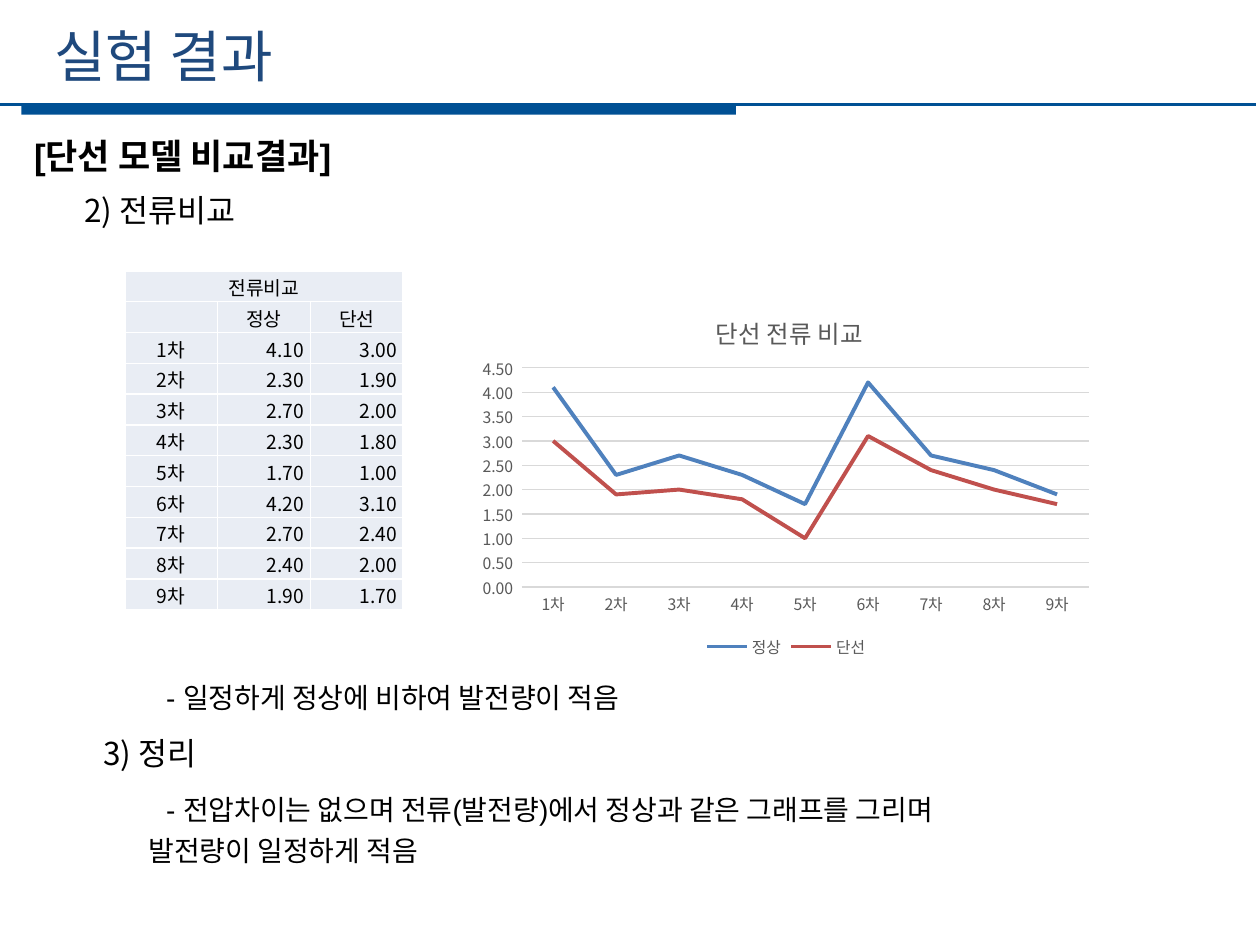
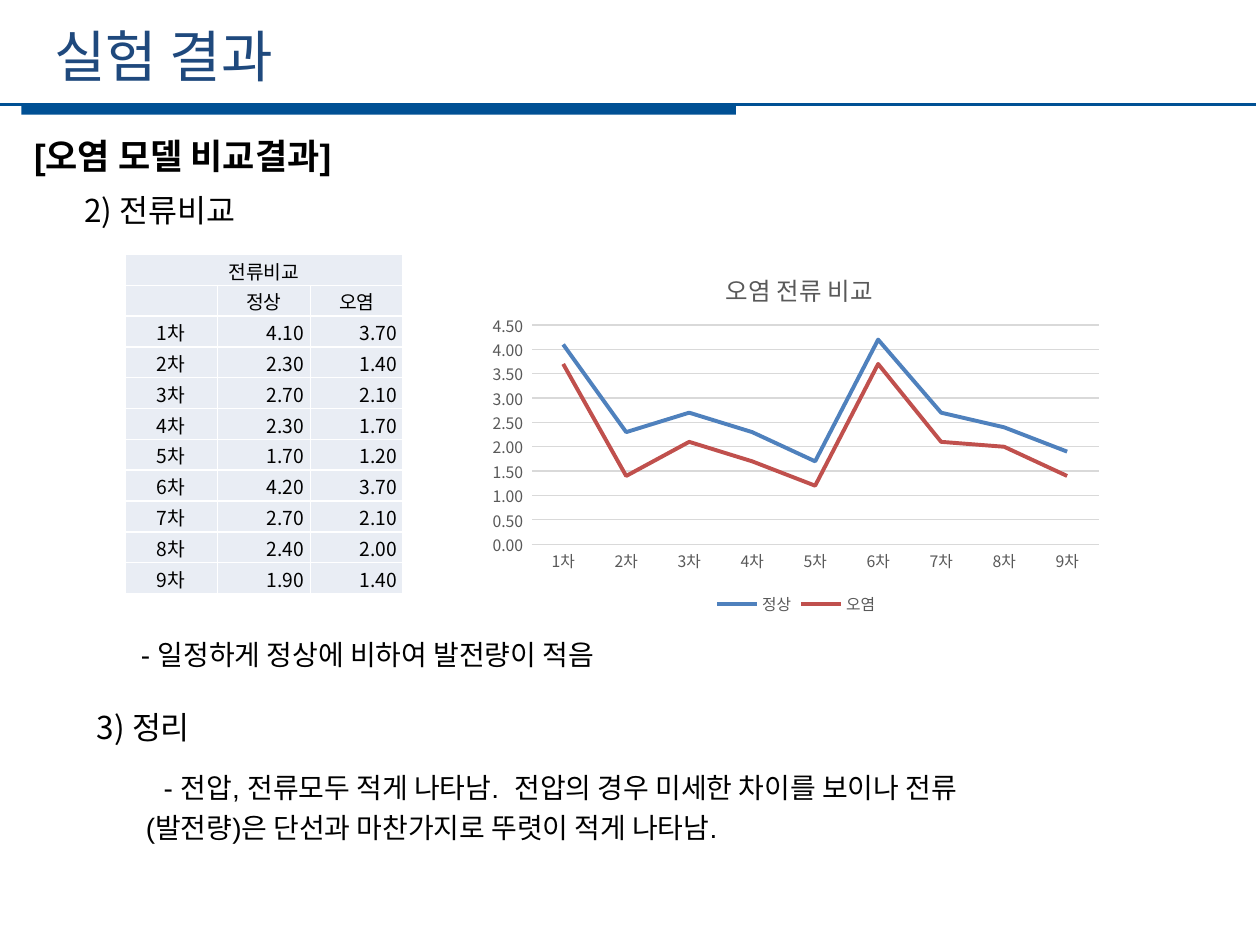
from lxml import etree
from pptx import Presentation
from pptx.chart.data import CategoryChartData
from pptx.dml.color import RGBColor
from pptx.enum.chart import XL_CHART_TYPE, XL_LEGEND_POSITION, XL_TICK_MARK
from pptx.enum.shapes import MSO_CONNECTOR, MSO_SHAPE
from pptx.enum.text import MSO_ANCHOR, MSO_AUTO_SIZE, PP_ALIGN
from pptx.oxml import parse_xml
from pptx.oxml.ns import nsdecls, qn
from pptx.util import Inches, Pt

# Content
TITLE = "실험 결과"
CURRENT_HEADING = "2) 전류비교"
SUMMARY_HEADING = "3) 정리"
TABLE_HEADING = "전류비교"
FINDING = "- 일정하게 정상에 비하여 발전량이 적음"
TRIALS = [f"{n}차" for n in range(1, 10)]
NORMAL = ("정상", [4.1, 2.3, 2.7, 2.3, 1.7, 4.2, 2.7, 2.4, 1.9])

# Positions are (left, top) in inches
COMPARISONS = [
    {
        "heading": "[단선 모델 비교결과]",
        "fault": ("단선", [3.0, 1.9, 2.0, 1.8, 1.0, 3.1, 2.4, 2.0, 1.7]),
        "summary": "- 전압차이는 없으며 전류(발전량)에서 정상과 같은 그래프를 그리며 "
                   "발전량이 일정하게 적음",
        "table_at": (0.99, 2.15), "chart_at": (3.74, 2.26),
        "finding_at": (1.08, 5.3), "summary_heading_at": (0.72, 5.78),
        "summary_at": (1.08, 6.19),
    },
    {
        "heading": "[오염 모델 비교결과]",
        "fault": ("오염", [3.7, 1.4, 2.1, 1.7, 1.2, 3.7, 2.1, 2.0, 1.4]),
        "summary": "- 전압, 전류모두 적게 나타남.  전압의 경우 미세한 차이를 보이나 "
                   "전류(발전량)은 단선과 마찬가지로 뚜렷이 적게 나타남.",
        "table_at": (0.99, 2.02), "chart_at": (3.82, 1.92),
        "finding_at": (0.88, 4.96), "summary_heading_at": (0.67, 5.57),
        "summary_at": (1.06, 6.01),
    },
]

# Shared style
COLORS = {"band": "005094", "title": "1F497D", "text": "000000",
          "cell": "E9EDF4", "border": "FFFFFF", "chart_text": "595959",
          "grid": "D9D9D9", "normal": "4F81BD", "fault": "C0504D"}
KOREAN, LATIN = "Noto Sans CJK KR", "Arial"
LINE_PITCH = Pt(23)
TABLE_SIZE = (2.21, 2.69)
CHART_SIZE = (5, 3)


def rgb(name):
    return RGBColor.from_string(COLORS[name])


def inches(*lengths):
    return [Inches(length) for length in lengths]


def style_font(font, size, color, face=KOREAN, bold=False):
    font.size, font.bold, font.name = Pt(size), bold, face
    font.color.rgb = rgb(color)
    east_asian = etree.Element(qn("a:ea"), typeface=KOREAN)
    font._element.find(qn("a:latin")).addnext(east_asian)


def fill_text(shape, text, size, color="text", face=KOREAN, bold=False,
              pitch=None, indent=0, wrap=True):
    frame = shape.text_frame
    frame.text = text
    frame.word_wrap = wrap
    frame.auto_size = MSO_AUTO_SIZE.NONE
    frame.vertical_anchor = MSO_ANCHOR.TOP
    paragraph = frame.paragraphs[0]
    paragraph.alignment = PP_ALIGN.LEFT
    paragraph.space_before = Pt(0)
    if pitch:
        paragraph.line_spacing = pitch
    properties = paragraph._p.get_or_add_pPr()
    properties.set("marL", "0")
    properties.set("indent", str(Inches(indent)))
    etree.SubElement(properties, qn("a:buNone"))
    style_font(paragraph.runs[0].font, size, color, face, bold)


def place(shape, left, top, width, height):
    shape.left, shape.top, shape.width, shape.height = inches(left, top, width, height)
    return shape


def add_text(slide, at, size_box, text, size, **style):
    box = slide.shapes.add_textbox(*inches(*at, *size_box))
    fill_text(box, text, size, **style)


def add_band(slide):
    band = slide.shapes.add_shape(MSO_SHAPE.RECTANGLE, *inches(0.17, 0.83, 5.67, 0.08))
    band.shadow.inherit = False
    band.fill.solid()
    band.fill.fore_color.rgb = rgb("band")
    band.line.fill.background()
    rule = slide.shapes.add_connector(MSO_CONNECTOR.STRAIGHT,
                                      *inches(-0.03, 0.83, 9.97, 0.83))
    rule.line.color.rgb = rgb("band")
    rule.line.width = Pt(1.25)
    etree.SubElement(rule._element.spPr, qn("a:effectLst"))


def style_cell(cell, text, align):
    cell.text = text
    cell.vertical_anchor = MSO_ANCHOR.MIDDLE
    cell.margin_left, cell.margin_top, cell.margin_bottom = inches(0.01, 0.01, 0)
    cell.margin_right = Inches(0.05 if align == PP_ALIGN.RIGHT else 0.01)
    paragraph = cell.text_frame.paragraphs[0]
    paragraph.alignment = align
    if text:
        style_font(paragraph.runs[0].font, 11, "text")
    else:
        etree.SubElement(paragraph._p, qn("a:endParaRPr"), sz="1100")
    properties = cell._tc.get_or_add_tcPr()
    for side in ("lnL", "lnR", "lnT", "lnB"):
        properties.append(parse_xml(
            f'<a:{side} {nsdecls("a")} w="12700"><a:solidFill>'
            f'<a:srgbClr val="{COLORS["border"]}"/></a:solidFill></a:{side}>'))
    cell.fill.solid()
    cell.fill.fore_color.rgb = rgb("cell")


def add_current_table(slide, at, fault):
    rows = [(TABLE_HEADING, "", ""), ("", NORMAL[0], fault[0])]
    rows += [(trial, f"{normal:.2f}", f"{faulty:.2f}")
             for trial, normal, faulty in zip(TRIALS, NORMAL[1], fault[1])]
    table = slide.shapes.add_table(len(rows), 3, *inches(*at, *TABLE_SIZE)).table
    for column in table.columns:
        column.width = Inches(TABLE_SIZE[0] / 3)
    for r, row in enumerate(rows):
        table.rows[r].height = Inches(TABLE_SIZE[1] / len(rows))
        for c, text in enumerate(row):
            is_value = r > 1 and c > 0
            style_cell(table.cell(r, c), text,
                       PP_ALIGN.RIGHT if is_value else PP_ALIGN.CENTER)
    table.cell(0, 0).merge(table.cell(0, 2))


def manual_layout(target=None, **fractions):
    modes = "".join(f'<c:{axis}Mode val="edge"/>' for axis in "xy")
    values = "".join(f'<c:{key} val="{value}"/>' for key, value in fractions.items())
    inner = f'<c:layoutTarget val="{target}"/>' if target else ""
    return parse_xml(f'<c:layout {nsdecls("c")}><c:manualLayout>'
                     f'{inner}{modes}{values}</c:manualLayout></c:layout>')


def set_layout(parent, layout, after=None):
    for old in parent.findall(qn("c:layout")):
        parent.remove(old)
    if after is None:
        parent.insert(0, layout)
    else:
        after.addnext(layout)


def add_current_chart(slide, at, fault):
    data = CategoryChartData(number_format="0.00_ ")
    data.categories = TRIALS
    for name, values in (NORMAL, fault):
        data.add_series(name, values)
    chart = slide.shapes.add_chart(XL_CHART_TYPE.LINE, *inches(*at, *CHART_SIZE),
                                   data).chart
    style_font(chart.font, 10, "text")

    # Title and legend
    chart.has_title = True
    title = chart.chart_title
    title.text_frame.text = f"{fault[0]} 전류 비교"
    style_font(title.text_frame.paragraphs[0].runs[0].font, 14, "chart_text")
    title.include_in_layout = False
    set_layout(title._element, manual_layout(x=0.38, y=0.06),
               title._element.find(qn("c:tx")))
    chart.has_legend = True
    chart.legend.position = XL_LEGEND_POSITION.BOTTOM
    chart.legend.include_in_layout = False
    style_font(chart.legend.font, 9, "chart_text")

    # Axes and plot
    for axis in (chart.category_axis, chart.value_axis):
        axis.major_tick_mark = axis.minor_tick_mark = XL_TICK_MARK.NONE
        style_font(axis.tick_labels.font, 9, "chart_text")
    grid = chart.value_axis.major_gridlines.format.line
    for line in (chart.category_axis.format.line, grid):
        line.color.rgb = rgb("grid")
        line.width = Pt(0.75)
    chart.value_axis.format.line.fill.background()
    chart.value_axis.maximum_scale = 4.5
    chart.value_axis.minimum_scale = 0
    chart.value_axis.major_unit = 0.5
    chart.value_axis.tick_labels.number_format = "0.00_ "
    chart.value_axis.tick_labels.number_format_is_linked = False
    plot = chart.plots[0]
    plot.vary_by_categories = False
    set_layout(plot._element.getparent(),
               manual_layout("inner", x=0.08, y=0.22, w=0.9, h=0.58))
    for series, color in zip(plot.series, ("normal", "fault")):
        series.smooth = False
        series.format.line.color.rgb = rgb(color)
        series.format.line.width = Pt(2.25)


def add_comparison(prs, part):
    slide = prs.slides.add_slide(prs.slide_layouts[1])
    add_band(slide)
    title = place(slide.shapes.title, 0.33, 0.12, 8.96, 0.64)
    fill_text(title, TITLE, 32, color="title")
    heading = place(slide.placeholders[1], 0.17, 1.03, 9.5, 0.42)
    fill_text(heading, part["heading"], 20, face=LATIN, bold=True, pitch=LINE_PITCH)
    add_text(slide, (0.57, 1.47), (1.52, 0.4), CURRENT_HEADING, 18, wrap=False)

    add_current_table(slide, part["table_at"], part["fault"])
    add_current_chart(slide, part["chart_at"], part["fault"])

    note = {"face": LATIN, "pitch": LINE_PITCH, "indent": 0.14}
    add_text(slide, part["finding_at"], (4.63, 0.42), FINDING, 16, **note)
    add_text(slide, part["summary_heading_at"], (1.01, 0.4), SUMMARY_HEADING, 18,
             wrap=False)
    add_text(slide, part["summary_at"], (6.91, 0.75), part["summary"], 16, **note)


def main():
    prs = Presentation()
    prs.slide_width, prs.slide_height = inches(10, 7.5)
    for part in COMPARISONS:
        add_comparison(prs, part)
    prs.save("out.pptx")


if __name__ == "__main__":
    main()
